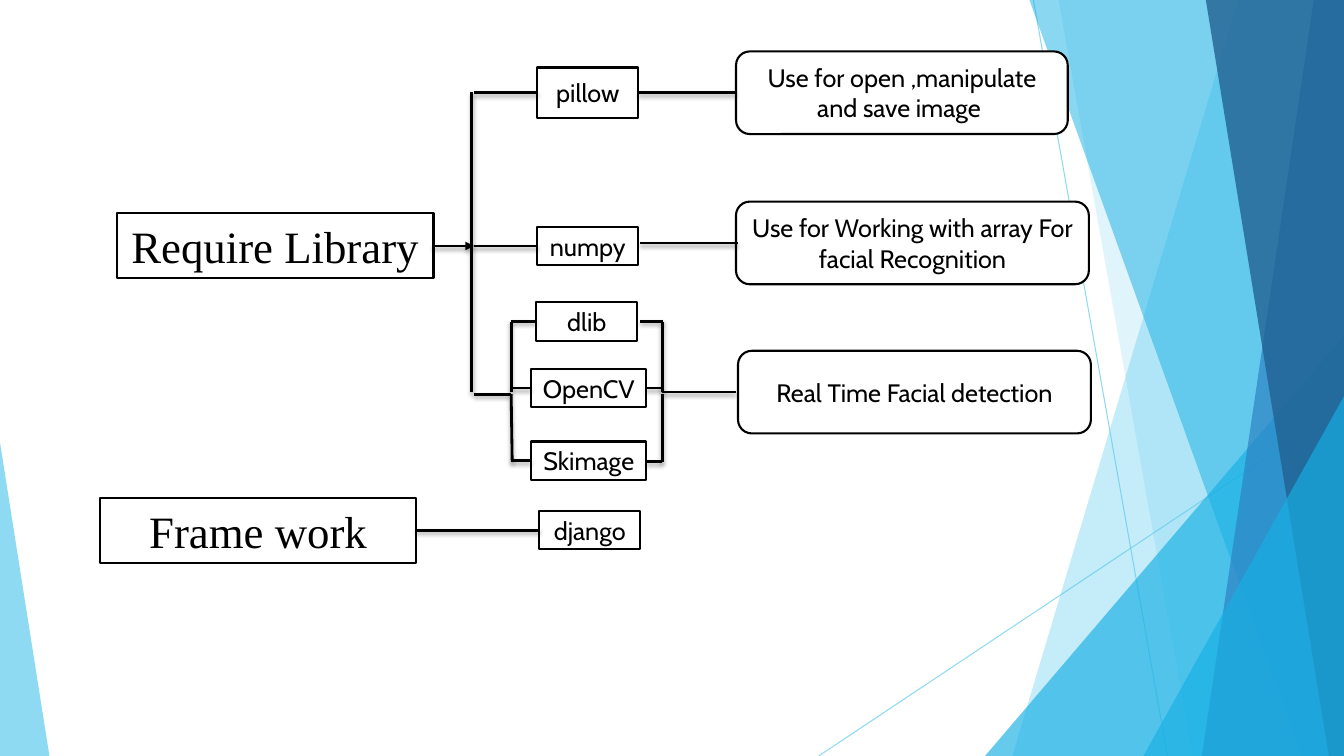
"""Build a slide that maps required libraries and the framework to their uses."""
import pptx
import pptx.dml.color
import pptx.enum.shapes
import pptx.enum.text
import pptx.oxml
import pptx.oxml.ns
import pptx.util
from pptx.util import Inches

RGBColor = pptx.dml.color.RGBColor
Shape = pptx.enum.shapes.MSO_SHAPE
BLACK = RGBColor(0x00, 0x00, 0x00)
WHITE = RGBColor(0xFF, 0xFF, 0xFF)
SKY = RGBColor(0x5F, 0xCB, 0xEF)
CYAN = RGBColor(0x17, 0xB0, 0xE4)
BLUE = RGBColor(0x2E, 0x83, 0xC3)
NAVY = RGBColor(0x22, 0x62, 0x92)
WIDE, HIGH = 13.33, 7.5
NS = pptx.oxml.ns.nsdecls("a")
SHADE = (f'<a:effectLst {NS}><a:outerShdw blurRad="38100" dist="25400" dir="5400000" '
         'rotWithShape="0"><a:srgbClr val="000000"><a:alpha val="35000"/></a:srgbClr>'
         '</a:outerShdw></a:effectLst>')

deck = pptx.Presentation()
deck.slide_width, deck.slide_height = Inches(WIDE), Inches(HIGH)
slide = deck.slides.add_slide(deck.slide_layouts[6])
shapes = slide.shapes


def fade(shape, alpha):
    for color in shape.element.xpath(".//a:srgbClr"):
        color.append(pptx.oxml.parse_xml(f'<a:alpha {NS} val="{alpha * 1000}"/>'))


def draw(ends, color, width, effect):
    line = shapes.add_connector(pptx.enum.shapes.MSO_CONNECTOR.STRAIGHT,
                                *[Inches(end) for end in ends])
    line.line.color.rgb = color
    line.line.width = pptx.util.Pt(width)
    line.element.spPr.append(pptx.oxml.parse_xml(effect))
    return line


for ends in [(10.25, 0, 11.58, HIGH), (WIDE, 4.03, 8.12, HIGH)]:
    fade(draw(ends, SKY, 0.75, f"<a:effectLst {NS}/>"), 70)

facets = [
    ([(12.28, 0), (WIDE, 0), (WIDE, HIGH), (10.04, HIGH)], SKY, 36),
    ([(10.5, 0), (WIDE, 0), (WIDE, HIGH), (11.83, HIGH)], SKY, 20),
    ([(WIDE, 3.33), (WIDE, HIGH), (9.77, HIGH)], CYAN, 66),
    ([(10.21, 0), (WIDE, 0), (WIDE, HIGH), (12.91, HIGH)], CYAN, 50),
    ([(13.03, 0), (WIDE, 0), (WIDE, HIGH), (11.92, HIGH)], BLUE, 70),
    ([(11.96, 0), (WIDE, 0), (WIDE, HIGH), (13.18, HIGH)], NAVY, 80),
    ([(WIDE, 3.93), (WIDE, HIGH), (11.34, HIGH)], CYAN, 66),
    ([(0, 4.39), (0.49, HIGH), (0, HIGH)], SKY, 70),
]
for points, color, alpha in facets:
    if len(points) == 3:
        left = min(x for x, y in points)
        right = max(x for x, y in points)
        top = points[0][1]
        facet = shapes.add_shape(Shape.ISOSCELES_TRIANGLE, Inches(left), Inches(top),
                                 Inches(right - left), Inches(HIGH - top))
        facet.adjustments[0] = 1 if left else 0
    else:
        first, *rest = [(Inches(x), Inches(y)) for x, y in points]
        path = shapes.build_freeform(*first)
        path.add_line_segments(rest)
        facet = path.convert_to_shape()
    facet.shadow.inherit = False
    facet.fill.solid()
    facet.fill.fore_color.rgb = color
    facet.line.fill.background()
    fade(facet, alpha)

links = [
    (4.68, 0.91, 4.68, 3.89), (4.7, 0.92, 5.33, 0.92), (4.7, 2.44, 5.33, 2.44),
    (4.7, 3.91, 5.07, 3.91), (4.13, 5.26, 5.35, 5.26), (6.33, 0.92, 7.3, 0.92),
    (6.35, 2.41, 7.32, 2.41), (6.57, 3.89, 7.3, 3.89), (5.07, 3.89, 5.07, 3.19),
    (5.08, 4.58, 5.07, 3.91), (5.07, 3.19, 5.32, 3.19), (5.07, 4.57, 5.27, 4.57),
    (6.57, 3.89, 6.57, 3.19), (6.57, 4.58, 6.57, 3.91), (6.35, 3.19, 6.58, 3.19),
    (6.41, 4.58, 6.57, 4.58), (5.08, 3.85, 5.27, 3.85), (6.41, 3.85, 6.57, 3.85),
]
title = (Shape.RECTANGLE, "Times New Roman", 32)
label = (Shape.RECTANGLE, "Cabin", 18)
note = (Shape.ROUNDED_RECTANGLE, "Cabin", 18)
boxes = [
    ("Require Library", 1.16, 2.11, 3.14, 0.65, title),
    ("Frame work", 0.99, 4.94, 3.14, 0.65, title),
    ("pillow", 5.33, 0.67, 1, 0.5, label),
    ("numpy", 5.33, 2.25, 1, 0.38, label),
    ("dlib", 5.32, 3, 1, 0.38, label),
    ("OpenCV", 5.27, 3.66, 1.14, 0.38, label),
    ("Skimage", 5.27, 4.38, 1.14, 0.38, label),
    ("django", 5.35, 5.07, 1, 0.38, label),
    ("Use for open ,manipulate and save image ", 7.3, 0.51, 3.29, 0.82, note),
    ("Use for Working with array For facial Recognition", 7.3, 2, 3.5, 0.82, note),
    ("Real Time Facial detection", 7.32, 3.48, 3.5, 0.82, note),
]
for text, left, top, width, height, (kind, font, size) in boxes:
    box = shapes.add_shape(kind, Inches(left), Inches(top), Inches(width), Inches(height))
    box.shadow.inherit = False
    box.fill.solid()
    box.fill.fore_color.rgb = WHITE
    box.line.color.rgb = BLACK
    box.line.width = pptx.util.Pt(1.5)
    frame = box.text_frame
    frame.text = text
    frame.word_wrap = True
    frame.vertical_anchor = pptx.enum.text.MSO_ANCHOR.MIDDLE
    para = frame.paragraphs[0]
    para.alignment = pptx.enum.text.PP_ALIGN.CENTER
    style = para.runs[0].font
    style.name, style.size = font, pptx.util.Pt(size)
    style.color.rgb = BLACK

for ends in links:
    draw(ends, BLACK, 2, SHADE)
arrow = draw((4.29, 2.44, 4.7, 2.44), BLACK, 2, SHADE)
arrow.line.fill
arrow.element.xpath(".//a:ln")[0].append(
    pptx.oxml.parse_xml(f'<a:tailEnd {NS} type="triangle"/>'))

deck.save("out.pptx")
